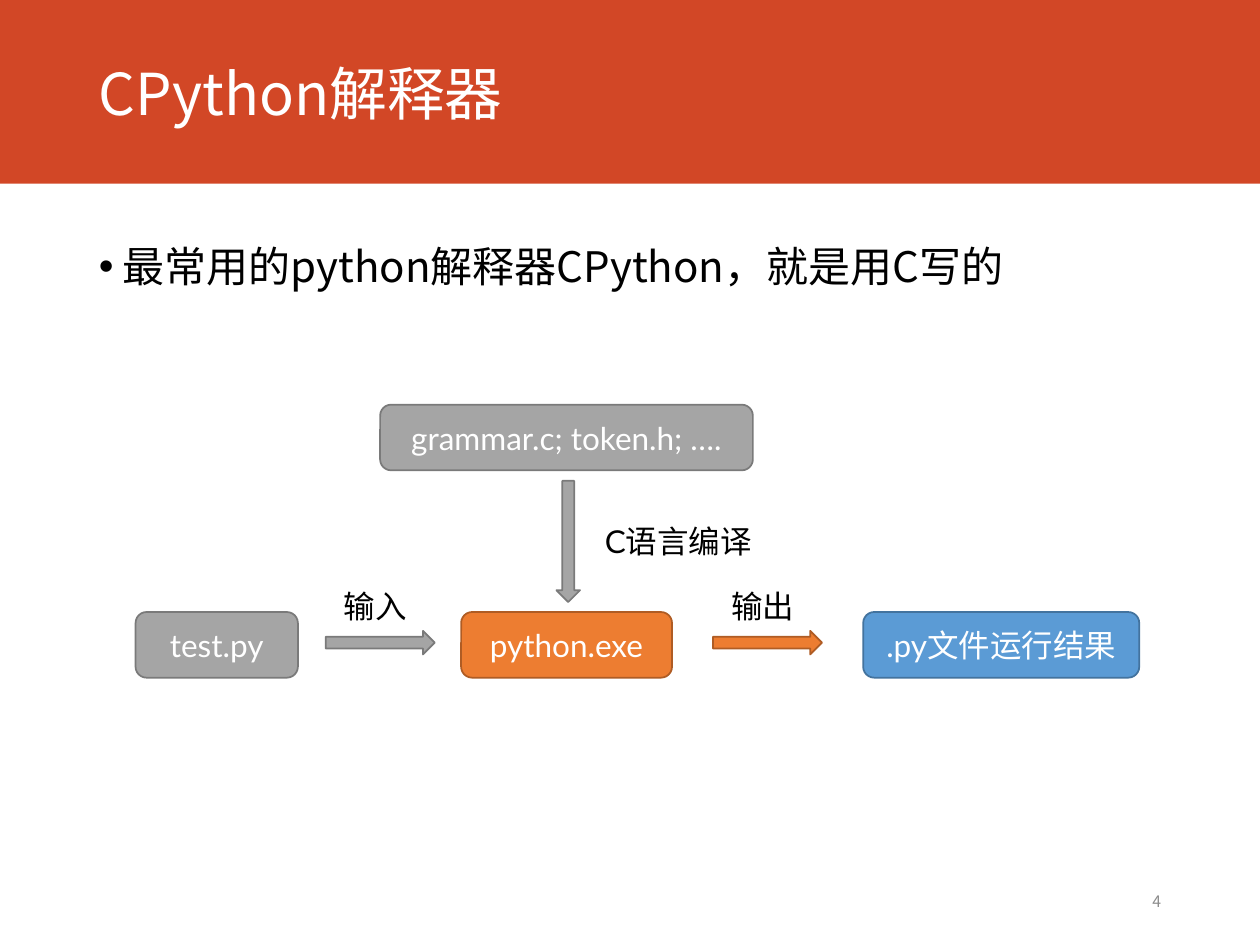
from dataclasses import dataclass
from lxml.etree import SubElement
from pptx import Presentation
from pptx.dml.color import RGBColor
from pptx.enum.shapes import MSO_SHAPE as Shape
from pptx.enum.text import MSO_ANCHOR as Anchor, PP_ALIGN as Align
from pptx.oxml.ns import qn
from pptx.util import Pt


@dataclass(frozen=True)
class Theme:
    banner: str = "D24726"
    white: str = "FFFFFF"
    black: str = "000000"
    muted: str = "8C8C8C"
    source: tuple = ("A5A5A5", "7A7A7A")
    program: tuple = ("ED7D31", "AF5C24")
    result: tuple = ("5B9BD5", "43739E")
    latin: str = "Lato"
    cjk: str = "Noto Sans CJK SC"
    title_size: float = 33
    body_size: float = 24
    label_size: float = 18
    number_size: float = 9


class SlideBuilder:
    def __init__(self, slide, theme):
        self.slide = slide
        self.theme = theme

    def fill_text(self, frame, words, size, color, font, align=Align.LEFT, anchor=Anchor.TOP):
        frame.word_wrap = True
        frame.vertical_anchor = anchor
        paragraph = frame.paragraphs[0]
        paragraph.alignment = align
        run = paragraph.add_run()
        run.text = words
        run.font.size = Pt(size)
        run.font.name = font
        run.font.color.rgb = RGBColor.from_string(color)
        SubElement(run.font._element, qn("a:ea")).set("typeface", self.theme.cjk)
        return paragraph

    def text(self, box, words, size, color, font, **placing):
        frame = self.slide.shapes.add_textbox(*map(Pt, box)).text_frame
        return self.fill_text(frame, words, size, color, font, **placing)

    def shape(self, kind, box, fill, line=None):
        shape = self.slide.shapes.add_shape(kind, *map(Pt, box))
        shape.shadow.inherit = False
        shape.fill.solid()
        shape.fill.fore_color.rgb = RGBColor.from_string(fill)
        if line:
            shape.line.color.rgb = RGBColor.from_string(line)
            shape.line.width = Pt(1)
        else:
            shape.line.fill.background()
        return shape

    def node(self, box, words, colors):
        frame = self.shape(Shape.ROUNDED_RECTANGLE, box, *colors).text_frame
        self.fill_text(frame, words, self.theme.label_size, self.theme.white,
                       self.theme.latin, align=Align.CENTER, anchor=Anchor.MIDDLE)

    def label(self, box, words):
        self.text(box, words, self.theme.label_size, self.theme.black, self.theme.latin)

    def bullet(self, box, words):
        paragraph = self.text(box, words, self.theme.body_size, self.theme.black, self.theme.cjk)
        paragraph.line_spacing = 1.4
        paragraph.space_before = Pt(0.3 * self.theme.body_size)
        props = paragraph._p.get_or_add_pPr()
        props.set("marL", str(Pt(13.5)))
        props.set("indent", str(-Pt(13.5)))
        SubElement(props, qn("a:buFont")).set("typeface", "Arial")
        SubElement(props, qn("a:buChar")).set("char", "•")


def main():
    theme = Theme()
    deck = Presentation()
    deck.slide_width, deck.slide_height = Pt(720), Pt(540)
    page = SlideBuilder(deck.slides.add_slide(deck.slide_layouts[6]), theme)

    margin, content_width = 49.5, 621
    page.shape(Shape.RECTANGLE, (0, 0, 720, 105), theme.banner)
    page.text((margin, 1, content_width, 104), "CPython解释器", theme.title_size,
              theme.white, theme.cjk, anchor=Anchor.MIDDLE)
    page.bullet((margin, 122.5, content_width, 363.5),
                "最常用的python解释器CPython，就是用C写的")
    page.text((476.5, 500.5, 194, 28.75), "4", theme.number_size, theme.muted,
              theme.cjk, align=Align.RIGHT, anchor=Anchor.MIDDLE)

    node_height, flow_top = 37.5, 349.75
    nodes = [
        (217.25, 231.25, 213, "grammar.c; token.h; ….", theme.source),
        (77.5, flow_top, 92.75, "test.py", theme.source),
        (263.5, flow_top, 120.5, "python.exe", theme.program),
        (493.25, flow_top, 157.75, ".py文件运行结果", theme.result),
    ]
    for left, top, width, words, colors in nodes:
        page.node((left, top, width, node_height), words, colors)

    page.shape(Shape.DOWN_ARROW, (318, 274.75, 13.5, 69.25), *theme.source)
    page.label((338.5, 294.5, 100, 29), "C语言编译")

    flows = [(186.25, "输入", theme.source), (407.5, "输出", theme.program)]
    for left, words, colors in flows:
        page.shape(Shape.RIGHT_ARROW, (left, 360.5, 62.25, 13.5), *colors)
        page.label((left + 3.25, 332, 55.5, 29), words)

    deck.save("out.pptx")


if __name__ == "__main__":
    main()
